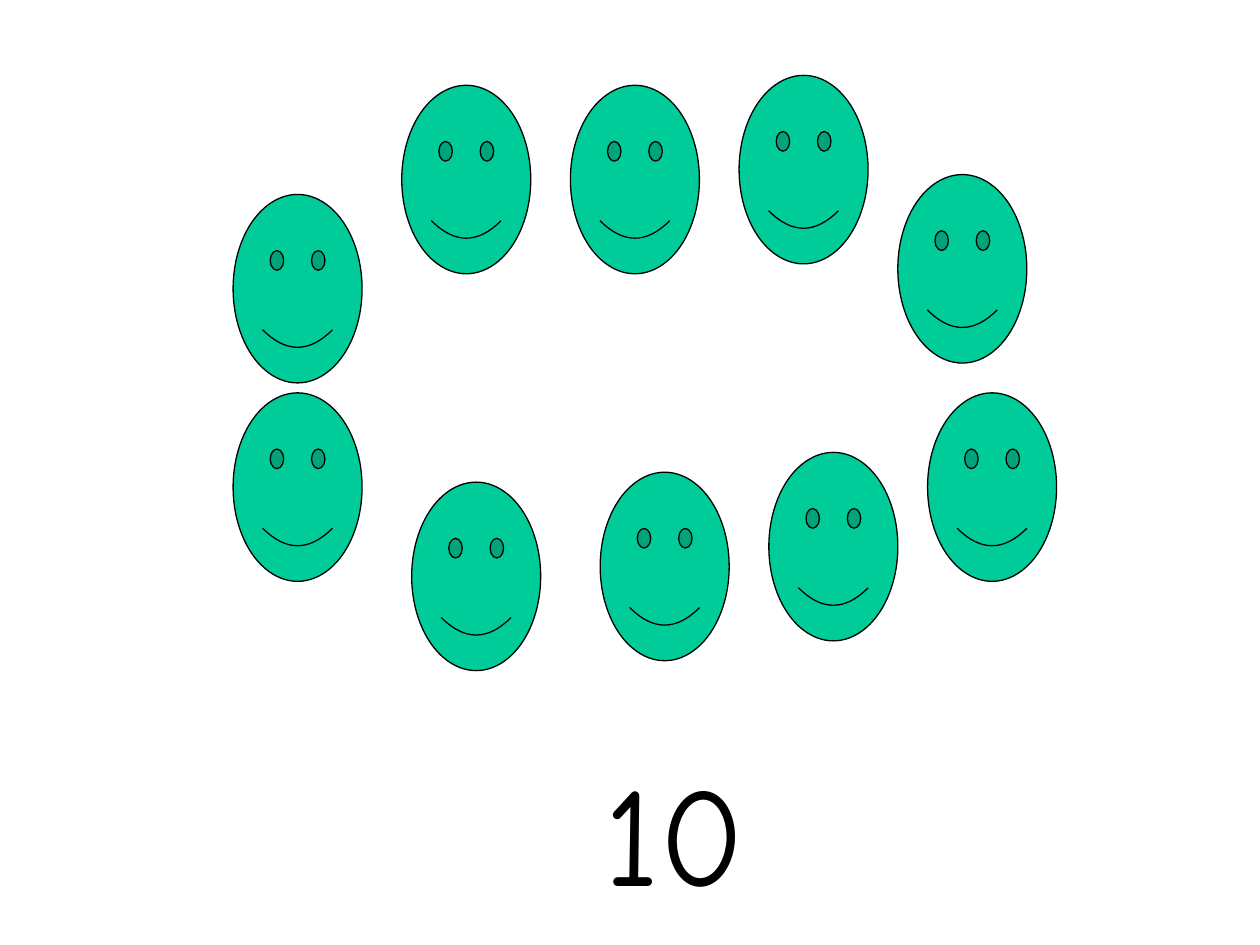
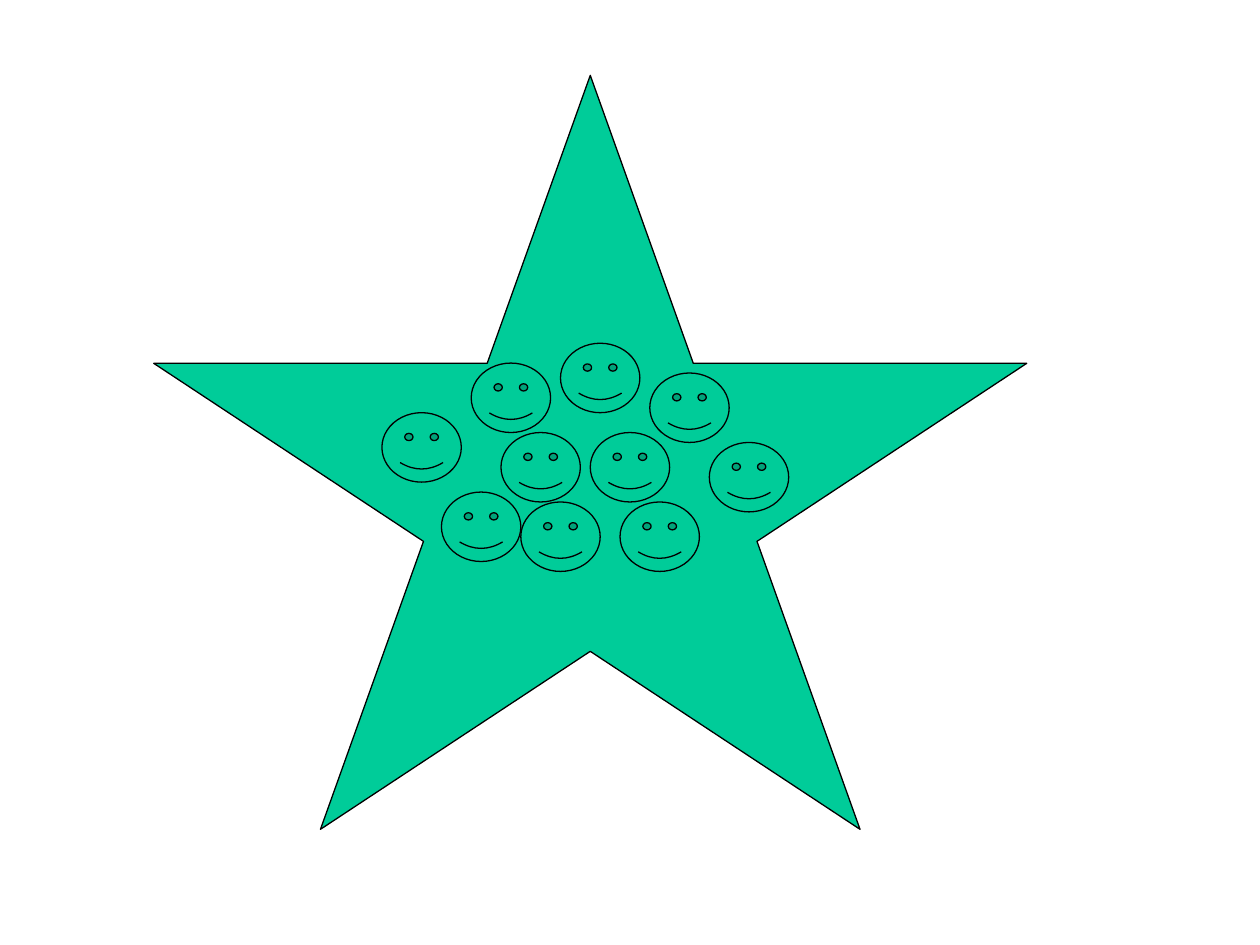
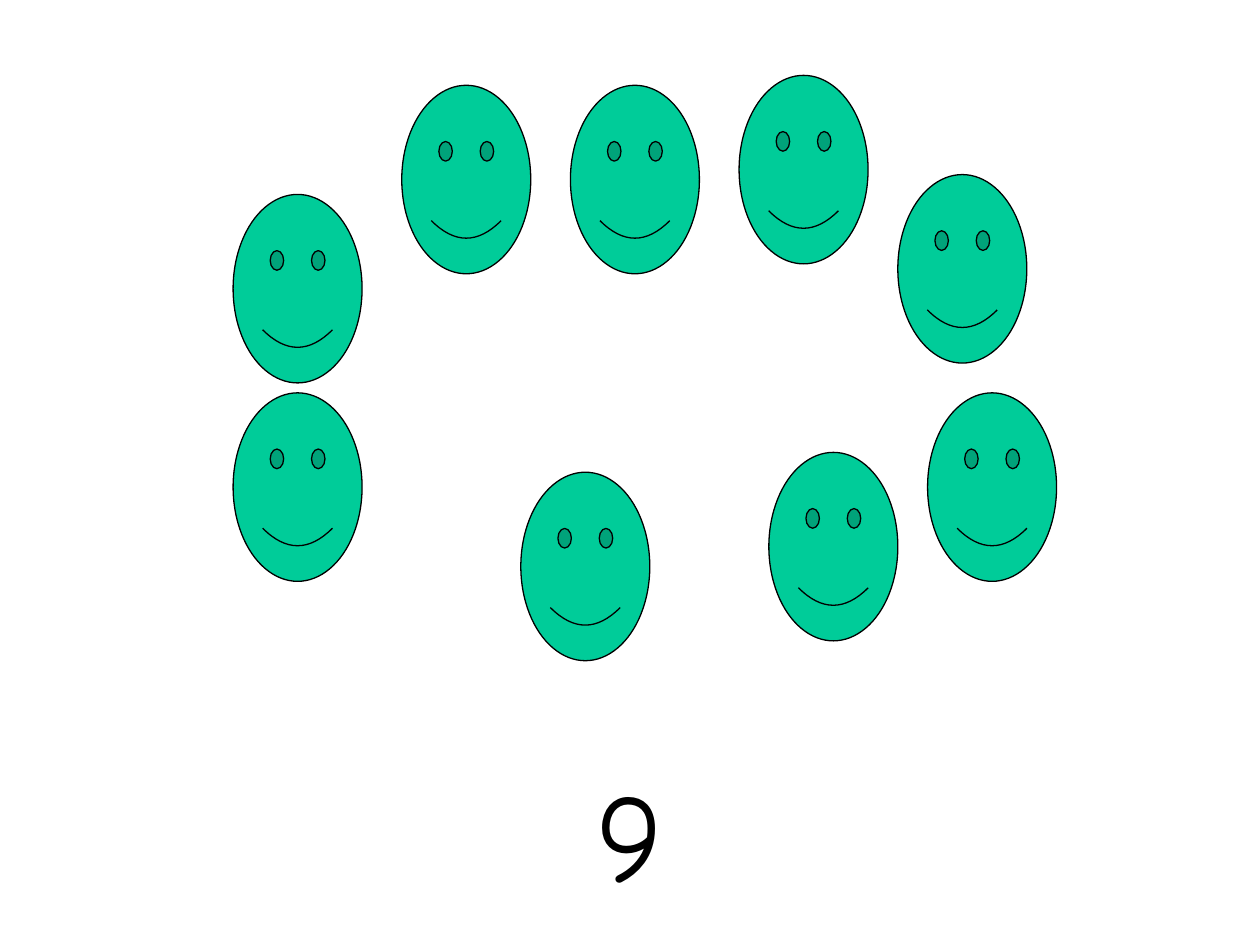
from pptx import Presentation
from pptx.dml.color import RGBColor
from pptx.enum import shapes, text
from pptx.util import Cm, Pt

GREEN = RGBColor(0x00, 0xCC, 0x99)
BLACK = RGBColor(0x00, 0x00, 0x00)
FONT = "Comic Neue"
SMILE = 0.093

LARGE_FACE = (2.6, 3.8)
SMALL_FACE = (1.6, 1.4)

# Left and top of each face, in cm.
RING = [(11.5, 1.72), (14.9, 1.52), (18.1, 3.52), (18.7, 7.92),
        (15.5, 9.12), (4.7, 7.92), (8.1, 1.72), (4.7, 3.92)]
TEN_EXTRAS = [(12.1, 9.52), (8.3, 9.72)]
NINE_EXTRAS = [(10.5, 9.52)]
STAR_FACES = [(10.1, 8.72), (14.3, 8.92), (12.5, 10.12), (10.5, 10.12),
              (8.9, 9.92), (7.7, 8.32), (9.5, 7.32), (11.3, 6.92),
              (13.1, 7.52), (11.9, 8.72)]


def add_slide(prs):
    return prs.slides.add_slide(prs.slide_layouts[6])


def add_outlined(s, kind, left, top, width, height):
    """Add a green preset shape with a thin black outline."""
    sp = s.shapes.add_shape(kind, Cm(left), Cm(top), Cm(width), Cm(height))
    sp.shadow.inherit = False
    sp.fill.solid()
    sp.fill.fore_color.rgb = GREEN
    sp.line.color.rgb = BLACK
    sp.line.width = Pt(0.75)
    return sp


def add_faces(s, places, size):
    for left, top in places:
        face = add_outlined(s, shapes.MSO_SHAPE.SMILEY_FACE, left, top, *size)
        face.adjustments[0] = SMILE


def add_number(s, number, left, top, width, height, size):
    box = s.shapes.add_textbox(Cm(left), Cm(top), Cm(width), Cm(height))
    tf = box.text_frame
    tf.word_wrap = True
    tf.auto_size = text.MSO_AUTO_SIZE.SHAPE_TO_FIT_TEXT
    p = tf.paragraphs[0]
    p.alignment = text.PP_ALIGN.CENTER
    p.space_before = Pt(size * 0.625)
    r = p.add_run()
    r.text = number
    for name, value in {"name": FONT, "size": Pt(size)}.items():
        setattr(r.font, name, value)
    r.font.color.rgb = BLACK


def main():
    prs = Presentation()
    prs.slide_width, prs.slide_height = Cm(25.4), Cm(19.05)

    s = add_slide(prs)
    add_faces(s, RING + TEN_EXTRAS, LARGE_FACE)
    add_number(s, "10", 9.1, 14.93, 9, 3.66, size=80)

    s = add_slide(prs)
    add_outlined(s, shapes.MSO_SHAPE.STAR_5_POINT, 3.1, 1.52, 17.6, 15.2)
    add_faces(s, STAR_FACES, SMALL_FACE)

    s = add_slide(prs)
    add_faces(s, RING + NINE_EXTRAS, LARGE_FACE)
    add_number(s, "9", 8.1, 15.12, 9.2, 3.3, size=72)

    prs.save("out.pptx")


if __name__ == "__main__":
    main()
